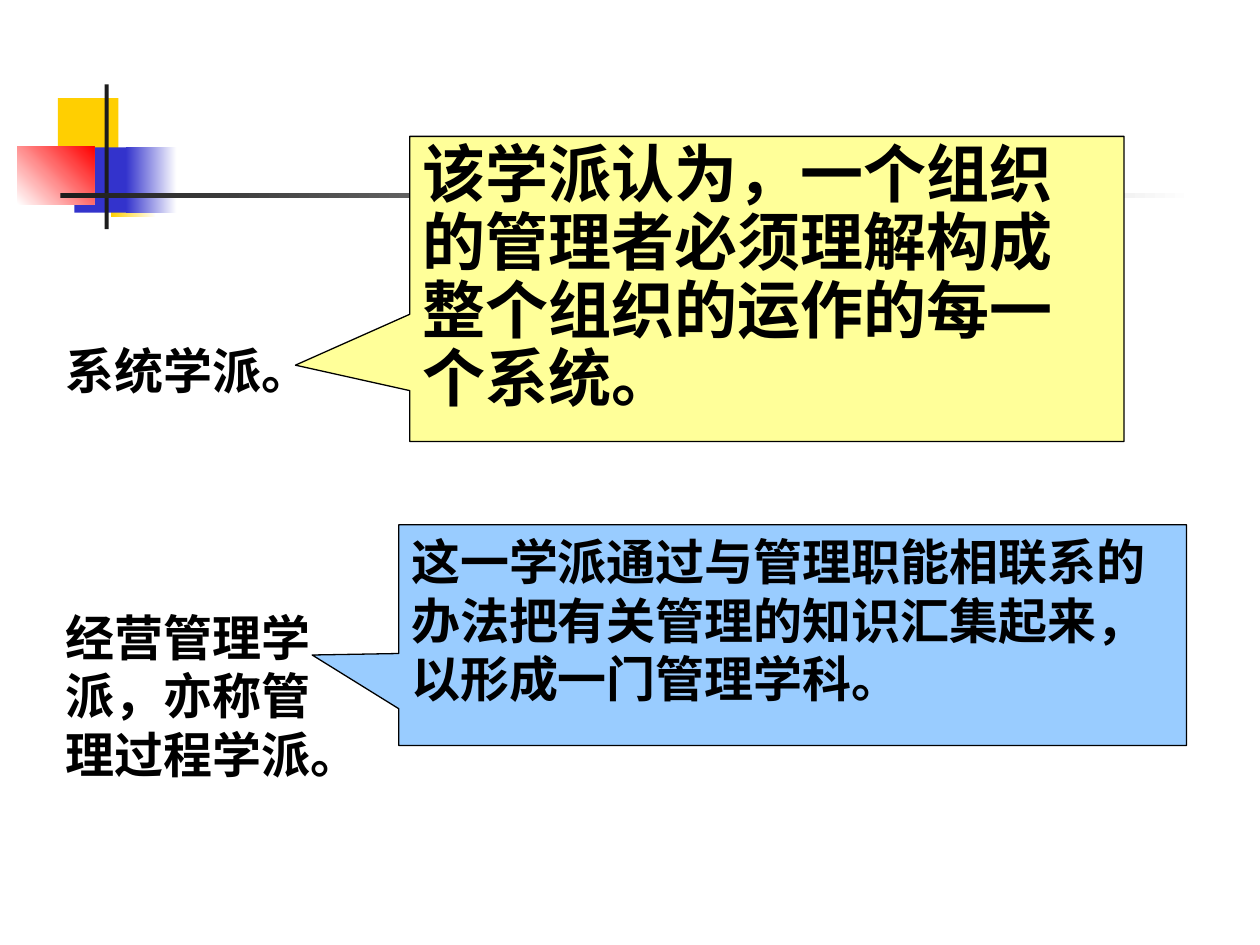
from dataclasses import dataclass

from lxml import etree
from pptx import Presentation
from pptx import util as u
from pptx.dml.color import RGBColor
from pptx.enum import shapes, text
from pptx.oxml.ns import qn

FONT = "Noto Sans CJK SC"
COLOURS = {
    "yellow": "FFCF01",
    "blue": "3333CC",
    "red": "FF0000",
    "dark": "1C1C1C",
    "white": "FFFFFF",
    "black": "000000",
    "pale yellow": "FFFF99",
    "pale blue": "99CCFF",
}


@dataclass
class Block:
    place: tuple[float, float, float, float]
    stops: tuple[str, ...]
    angle: float = 0


@dataclass
class Label:
    place: tuple[float, float, float, float]
    words: str


@dataclass
class Callout:
    place: tuple[float, float, float, float]
    pointer: tuple[float, float]
    fill: str
    words: str
    size: int
    spacing: float


BLOCKS = [
    Block((1.17, 1.98, 1.22, 1.32), ("yellow",)),
    Block((2.24, 3.05, 0.91, 1.32), ("yellow", "white")),
    Block((1.5, 2.97, 1.17, 1.32), ("blue",)),
    Block((2.54, 2.97, 1.02, 1.32), ("blue", "white")),
    Block((0.35, 2.95, 1.55, 1.17), ("white", "red"), 45),
    Block((2.11, 1.7, 0.08, 2.92), ("dark",)),
    Block((1.22, 3.89, 22.86, 0.1), ("dark", "white")),
]
LABELS = [
    Label((1.27, 6.86, 5.92, 1.19), "系统学派。"),
    Label((1.27, 12.24, 5.92, 3.56), "经营管理学派，亦称管理过程学派。"),
]
CALLOUTS = [
    Callout((8.26, 2.75, 14.4, 6.15), (-0.66, 0.25), "pale yellow",
            "该学派认为，一个组织的管理者必须理解构成整个组织的运作的每一个系统。", 36, 0.9),
    Callout((8.04, 10.58, 15.88, 4.45), (-0.61, 0.09), "pale blue",
            "这一学派通过与管理职能相联系的办法把有关管理的知识汇集起来，以形成一门管理学科。", 28, 1),
]


def colour(name: str) -> RGBColor:
    return RGBColor.from_string(COLOURS[name])


def write(box, words: str, size: int, margins: tuple[float, float], spacing: float = 1) -> None:
    frame = box.text_frame
    side, end = (u.Cm(margin) for margin in margins)
    layout = {
        "word_wrap": True,
        "vertical_anchor": text.MSO_ANCHOR.TOP,
        "margin_left": side,
        "margin_right": side,
        "margin_top": end,
        "margin_bottom": end,
    }
    for name, value in layout.items():
        setattr(frame, name, value)
    para = frame.paragraphs[0]
    para.alignment = text.PP_ALIGN.LEFT
    para.line_spacing = spacing
    span = para.add_run()
    span.text = words
    for name, value in {"name": FONT, "size": u.Pt(size), "bold": True}.items():
        setattr(span.font, name, value)
    span.font.color.rgb = colour("black")
    etree.SubElement(span.font._element, qn("a:ea"), typeface=FONT)


def draw_block(page, block: Block) -> None:
    box = page.shapes.add_shape(shapes.MSO_SHAPE.RECTANGLE, *map(u.Cm, block.place))
    box.shadow.inherit = False
    box.line.fill.background()
    if len(block.stops) == 1:
        box.fill.solid()
        box.fill.fore_color.rgb = colour(block.stops[0])
        return
    box.fill.gradient()
    box.fill.gradient_angle = block.angle
    for stop, name in zip(box.fill.gradient_stops, block.stops):
        stop.color.rgb = colour(name)


def draw_label(page, label: Label) -> None:
    box = page.shapes.add_textbox(*map(u.Cm, label.place))
    write(box, label.words, 28, (0.05, 0))
    box.text_frame.auto_size = text.MSO_AUTO_SIZE.SHAPE_TO_FIT_TEXT


def draw_callout(page, callout: Callout) -> None:
    box = page.shapes.add_shape(
        shapes.MSO_SHAPE.RECTANGULAR_CALLOUT, *map(u.Cm, callout.place))
    box.shadow.inherit = False
    for index, value in enumerate(callout.pointer):
        box.adjustments[index] = value
    box.fill.solid()
    box.fill.fore_color.rgb = colour(callout.fill)
    box.line.color.rgb = colour("black")
    box.line.width = u.Pt(0.75)
    write(box, callout.words, callout.size, (0.25, 0.13), callout.spacing)


def main() -> None:
    deck = Presentation()
    deck.slide_width, deck.slide_height = u.Cm(25.4), u.Cm(19.05)
    page = deck.slides.add_slide(deck.slide_layouts[6])
    page.background.fill.solid()
    page.background.fill.fore_color.rgb = colour("white")
    for block in BLOCKS:
        draw_block(page, block)
    for label in LABELS:
        draw_label(page, label)
    for callout in CALLOUTS:
        draw_callout(page, callout)
    deck.save("out.pptx")


if __name__ == "__main__":
    main()
